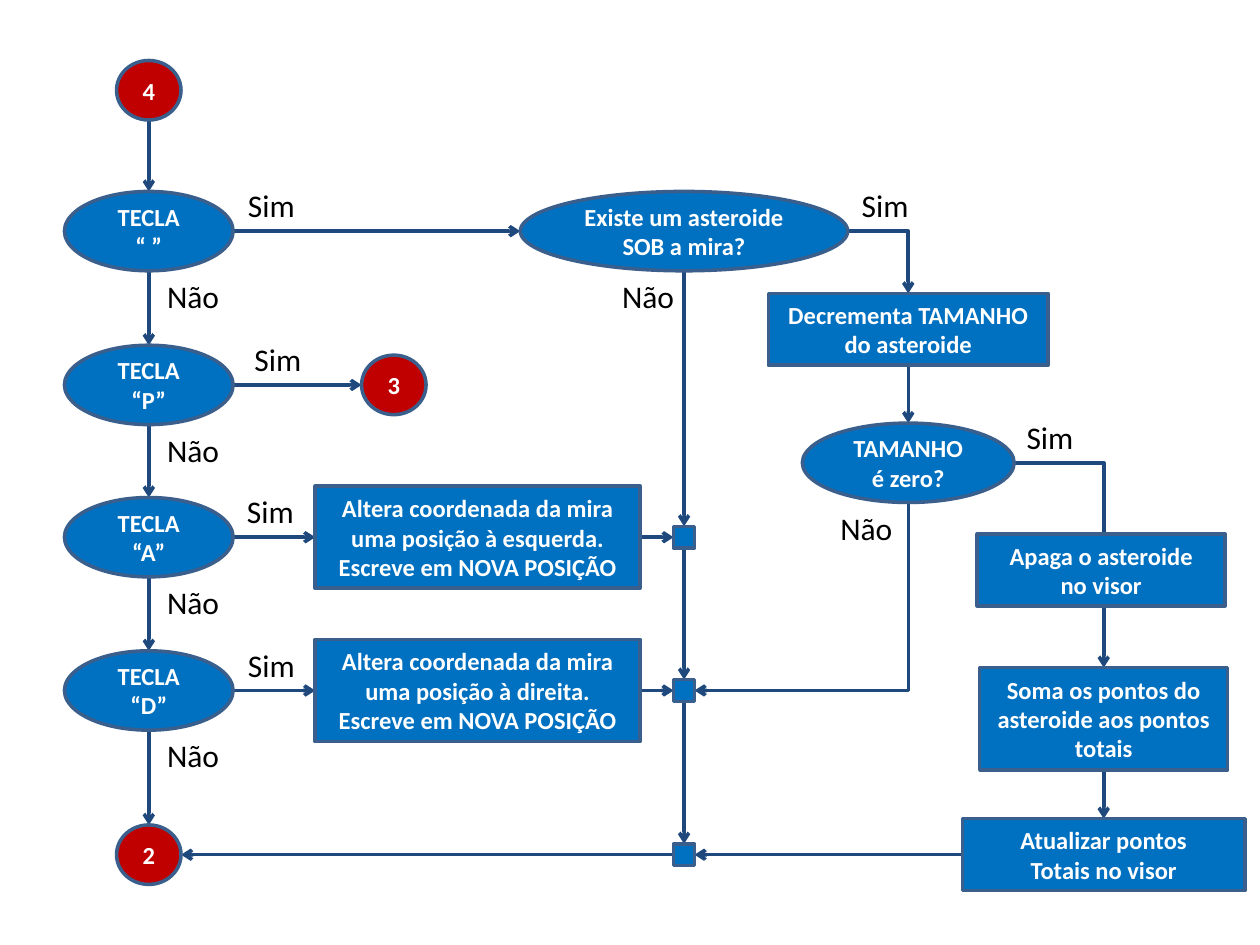
from dataclasses import dataclass
from typing import NamedTuple

from lxml.etree import SubElement
from pptx import Presentation
from pptx.dml.color import RGBColor
from pptx.enum.shapes import MSO_CONNECTOR, MSO_SHAPE
from pptx.enum.text import MSO_ANCHOR, MSO_AUTO_SIZE, PP_ALIGN
from pptx.oxml.ns import qn
from pptx.util import Cm, Pt


@dataclass(frozen=True)
class Theme:
    step: RGBColor = RGBColor(0x00, 0x70, 0xC0)
    link: RGBColor = RGBColor(0xC0, 0x00, 0x00)
    border: RGBColor = RGBColor(0x3A, 0x5F, 0x8C)
    arrow: RGBColor = RGBColor(0x1F, 0x49, 0x7D)
    light: RGBColor = RGBColor(0xFF, 0xFF, 0xFF)
    dark: RGBColor = RGBColor(0x00, 0x00, 0x00)
    font: str = "Calibri"
    node_size: Pt = Pt(14)
    label_size: Pt = Pt(18)
    stroke: Pt = Pt(2)


class Point(NamedTuple):
    x: float
    y: float


@dataclass(frozen=True)
class Node:
    text: str
    x: float
    y: float
    width: float
    height: float
    shape: MSO_SHAPE = MSO_SHAPE.RECTANGLE
    fill: RGBColor = Theme.step

    @property
    def top(self) -> Point:
        return Point(self.x, self.y - self.height / 2)

    @property
    def bottom(self) -> Point:
        return Point(self.x, self.y + self.height / 2)

    @property
    def left(self) -> Point:
        return Point(self.x - self.width / 2, self.y)

    @property
    def right(self) -> Point:
        return Point(self.x + self.width / 2, self.y)


class Answers(NamedTuple):
    node: Node
    yes_offset: float
    no_offset: float


THEME = Theme()
KEY_X, MERGE_X, SIZE_X, SCORE_X = 3.0, 13.79, 18.31, 22.25
ROW_1, ROW_2, ROW_3, ROW_4, ROW_END = 4.66, 7.76, 10.83, 13.92, 17.23


def link(number: str, x: float, y: float) -> Node:
    return Node(number, x, y, 1.3, 1.2, MSO_SHAPE.OVAL, THEME.link)


def decision(text: str, x: float, y: float, width: float) -> Node:
    return Node(text, x, y, width, 1.6, MSO_SHAPE.OVAL)


def merge(y: float) -> Node:
    return Node("", MERGE_X, y, 0.42, 0.44)


def move(side: str, y: float) -> Node:
    text = f"Altera coordenada da mira uma posição à {side}.\nEscreve em NOVA POSIÇÃO"
    return Node(text, 9.63, y, 6.55, 2.06)


def add_text(frame, text: str, size: Pt, color: RGBColor, bold: bool, align: PP_ALIGN) -> None:
    for index, line in enumerate(text.split("\n")):
        para = frame.paragraphs[0] if index == 0 else frame.add_paragraph()
        para.alignment = align
        span = para.add_run()
        span.text = line
        span.font.name = THEME.font
        span.font.size = size
        span.font.bold = bold
        span.font.color.rgb = color


def add_node(page, node: Node) -> None:
    box = page.shapes.add_shape(
        node.shape, Cm(node.left.x), Cm(node.top.y), Cm(node.width), Cm(node.height))
    box.shadow.inherit = False
    box.fill.solid()
    box.fill.fore_color.rgb = node.fill
    box.line.color.rgb = THEME.border
    box.line.width = THEME.stroke
    if node.text:
        box.text_frame.word_wrap = True
        box.text_frame.vertical_anchor = MSO_ANCHOR.MIDDLE
        add_text(box.text_frame, node.text, THEME.node_size, THEME.light, True, PP_ALIGN.CENTER)


def add_arrow(page, start: Point, end: Point, kind=MSO_CONNECTOR.STRAIGHT):
    arrow = page.shapes.add_connector(kind, Cm(start.x), Cm(start.y), Cm(end.x), Cm(end.y))
    arrow.line.color.rgb = THEME.arrow
    arrow.line.width = THEME.stroke
    SubElement(arrow.line._get_or_add_ln(), qn("a:tailEnd"), type="arrow")
    properties = arrow._element.spPr
    SubElement(properties, qn("a:effectLst"))
    return properties


def add_right_then_down(page, start: Point, end: Point):
    properties = add_arrow(page, start, end, MSO_CONNECTOR.ELBOW)
    properties.find(qn("a:prstGeom")).set("prst", "bentConnector2")
    return properties


def add_down_then_left(page, start: Point, end: Point) -> None:
    center = Point((start.x + end.x) / 2, (start.y + end.y) / 2)
    half_width, half_height = (start.x - end.x) / 2, (end.y - start.y) / 2
    properties = add_right_then_down(
        page,
        Point(center.x - half_height, center.y - half_width),
        Point(center.x + half_height, center.y + half_width))
    properties.find(qn("a:xfrm")).set("rot", "5400000")


def add_label(page, text: str, left: float, top: float, width: float) -> None:
    box = page.shapes.add_textbox(Cm(left), Cm(top), Cm(width), Cm(1.02))
    box.text_frame.word_wrap = False
    box.text_frame.auto_size = MSO_AUTO_SIZE.SHAPE_TO_FIT_TEXT
    add_text(box.text_frame, text, THEME.label_size, THEME.dark, False, PP_ALIGN.LEFT)


start, pause, finish = link("4", KEY_X, 1.82), link("3", 7.94, ROW_2), link("2", KEY_X, ROW_END)
keys = [
    decision(text, KEY_X, y, 3.4)
    for text, y in (("TECLA\n“ ”", ROW_1), ("TECLA “P”", ROW_2),
                    ("TECLA “A”", ROW_3), ("TECLA “D”", ROW_4))
]
space_key, pause_key, left_key, right_key = keys
move_left, move_right = move("esquerda", ROW_3), move("direita", ROW_4)
target = decision("Existe um asteroide SOB a mira?", MERGE_X, ROW_1, 6.6)
merges = [merge(y) for y in (ROW_3, ROW_4, ROW_END)]
shrink = Node("Decrementa TAMANHO do asteroide", SIZE_X, 6.64, 5.64, 1.45)
is_zero = decision("TAMANHO é zero?", SIZE_X, 9.33, 4.27)
erase = Node("Apaga o asteroide\nno visor", 22.2, 11.49, 5.0, 1.45)
add_points = Node("Soma os pontos do asteroide aos pontos totais", SCORE_X, 14.49, 5.0, 2.06)
refresh = Node("Atualizar pontos\nTotais no visor", SCORE_X, ROW_END, 5.69, 1.45)

nodes = [start, *keys, finish, pause, move_left, move_right, target, *merges,
         shrink, is_zero, erase, add_points, refresh]
columns = [[start, *keys, finish], [target, *merges], [shrink, is_zero], [add_points, refresh]]
rightward = [(space_key, target), (pause_key, pause), (left_key, move_left),
             (right_key, move_right), (move_left, merges[0]), (move_right, merges[1])]
leftward = [(merges[2], finish), (refresh, merges[2])]
answers = [Answers(space_key, 0.05, 0.12), Answers(pause_key, 0.18, 0.12),
           Answers(left_key, 0.03, 0.12), Answers(right_key, 0.05, 0.12),
           Answers(target, 0.03, -1.5), Answers(is_zero, 0, -1.62)]

deck = Presentation()
deck.slide_width, deck.slide_height = Cm(25.4), Cm(19.05)
page = deck.slides.add_slide(deck.slide_layouts[6])

for column in columns:
    for upper, lower in zip(column, column[1:]):
        add_arrow(page, upper.bottom, lower.top)
for source, goal in rightward:
    add_arrow(page, source.right, goal.left)
for source, goal in leftward:
    add_arrow(page, source.left, goal.right)
add_right_then_down(page, target.right, shrink.top)
add_right_then_down(page, is_zero.right, add_points.top)
add_down_then_left(page, is_zero.bottom, merges[1].right)
for node in nodes:
    add_node(page, node)
for answer in answers:
    node = answer.node
    add_label(page, "Sim", node.right.x + answer.yes_offset, node.y - 1.03, 1.47)
    add_label(page, "Não", node.x + answer.no_offset, node.bottom.y, 1.58)

deck.save("out.pptx")
